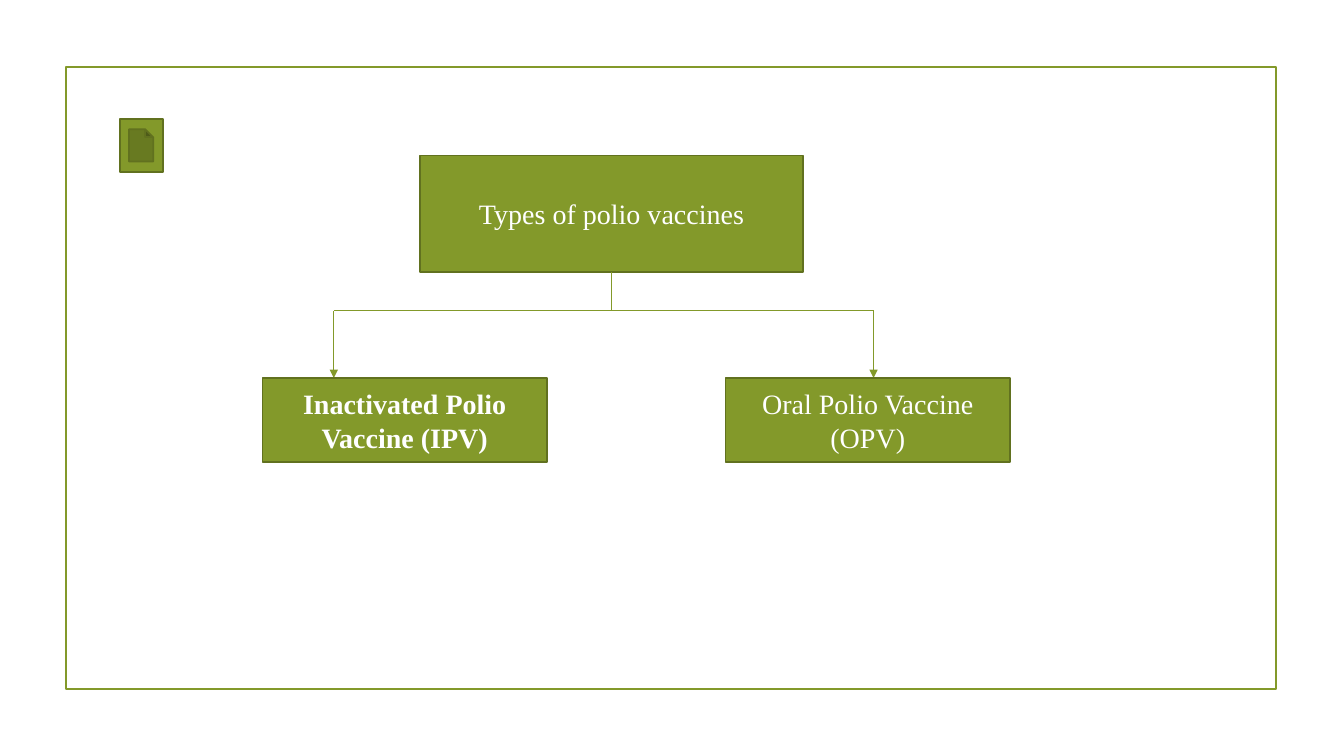
from lxml import etree
from pptx import Presentation
from pptx import util as u
from pptx.dml.color import RGBColor
from pptx.enum import shapes, text
from pptx.oxml.ns import qn

PX = 9525  # EMU in one px; the page is 1280 by 720 px
GREEN = RGBColor(0x83, 0x99, 0x2A)
DARK_GREEN = RGBColor(0x61, 0x71, 0x1F)
WHITE = RGBColor(0xFF, 0xFF, 0xFF)
FONT = "Times New Roman"


def add_box(page, box, kind=shapes.MSO_SHAPE.RECTANGLE, fill=GREEN, outline=DARK_GREEN):
    shape = page.shapes.add_shape(kind, *(length * PX for length in box))
    shape.shadow.inherit = False
    if fill is None:
        shape.fill.background()
    else:
        shape.fill.solid()
        shape.fill.fore_color.rgb = fill
    shape.line.color.rgb = outline
    shape.line.width = u.Pt(1.25)
    return shape


def add_label_box(page, box, label, bold=False):
    frame = add_box(page, box).text_frame
    frame.word_wrap = True
    frame.vertical_anchor = text.MSO_ANCHOR.MIDDLE
    frame.text = label
    para = frame.paragraphs[0]
    para.alignment = text.PP_ALIGN.CENTER
    font = para.runs[0].font
    font.name, font.size, font.bold = FONT, u.Pt(20), bold
    font.color.rgb = WHITE


def add_line(page, start, end, arrow=False):
    line = page.shapes.add_connector(
        shapes.MSO_CONNECTOR.STRAIGHT, *(length * PX for length in start + end))
    line.line.color.rgb = GREEN
    line.line.width = u.Pt(0.75)
    if arrow:
        etree.SubElement(line.line._get_or_add_ln(), qn("a:tailEnd"), type="triangle")
    etree.SubElement(line._element.spPr, qn("a:effectLst"))


def add_vaccine_tree(page, box):
    """Draw the root, its two branches and the lines that join them."""
    left, top, width, height = box
    root_left, root_width, root_height = left + 150, 365, 111
    branch_width, branch_height = 271, 80
    branch_top = top + height - branch_height
    root_middle = root_left + root_width // 2
    root_bottom = top + root_height
    bar_y = root_bottom + 37
    branches = [
        ("Inactivated Polio Vaccine (IPV)", True, left, left + 68),
        ("Oral Polio Vaccine (OPV)", False, left + width - branch_width, left + 582),
    ]
    bar_left, bar_right = (branch[3] for branch in branches)

    add_label_box(page, (root_left, top, root_width, root_height), "Types of polio vaccines")
    add_line(page, (root_middle, root_bottom), (root_middle, bar_y))
    add_line(page, (bar_left, bar_y), (bar_right, bar_y))
    for label, bold, branch_left, arrow_x in branches:
        add_line(page, (arrow_x, bar_y), (arrow_x, branch_top), arrow=True)
        add_label_box(page, (branch_left, branch_top, branch_width, branch_height), label, bold)


def main():
    deck = Presentation()
    deck.slide_width, deck.slide_height = 1280 * PX, 720 * PX
    page = deck.slides.add_slide(deck.slide_layouts.get_by_name("Blank"))
    add_box(page, (63, 64, 1152, 592), fill=None, outline=GREEN)
    add_vaccine_tree(page, (250, 148, 712, 292))
    add_box(page, (114, 113, 41, 51), shapes.MSO_SHAPE.ACTION_BUTTON_DOCUMENT)
    deck.save("out.pptx")


if __name__ == "__main__":
    main()
